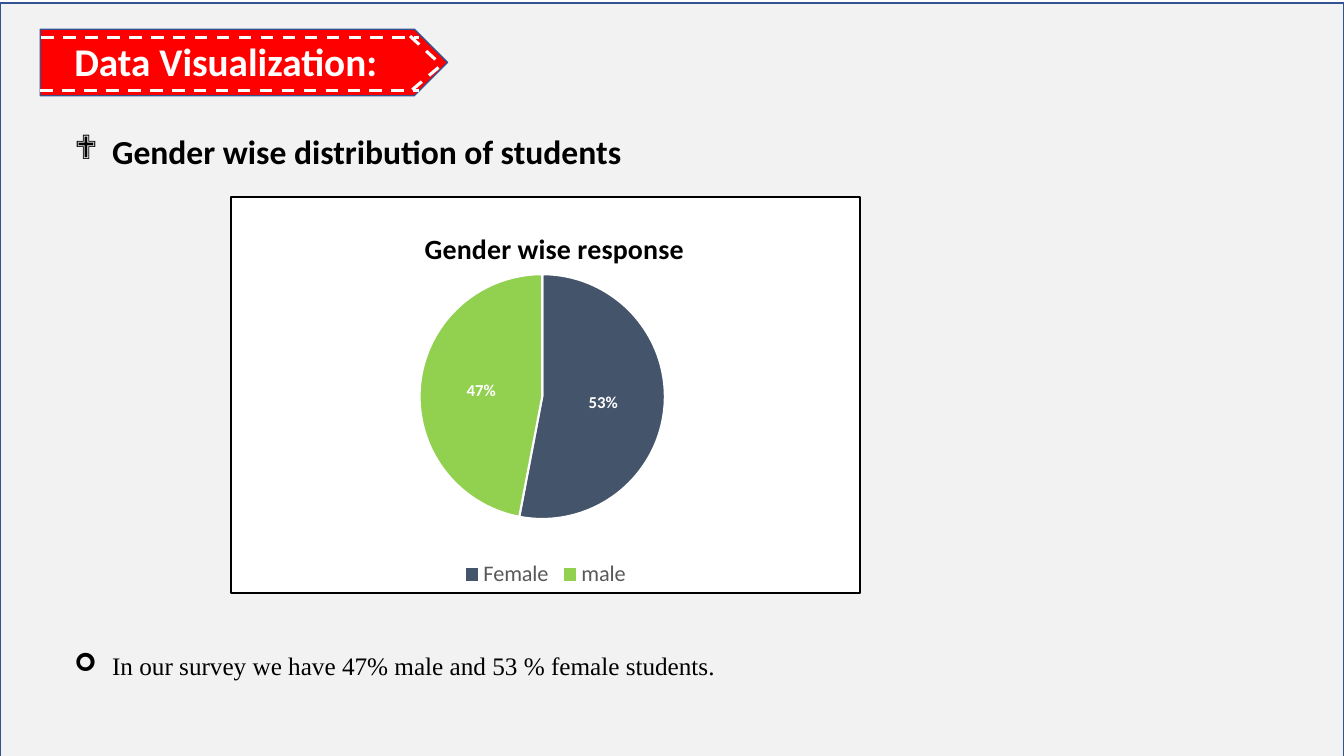
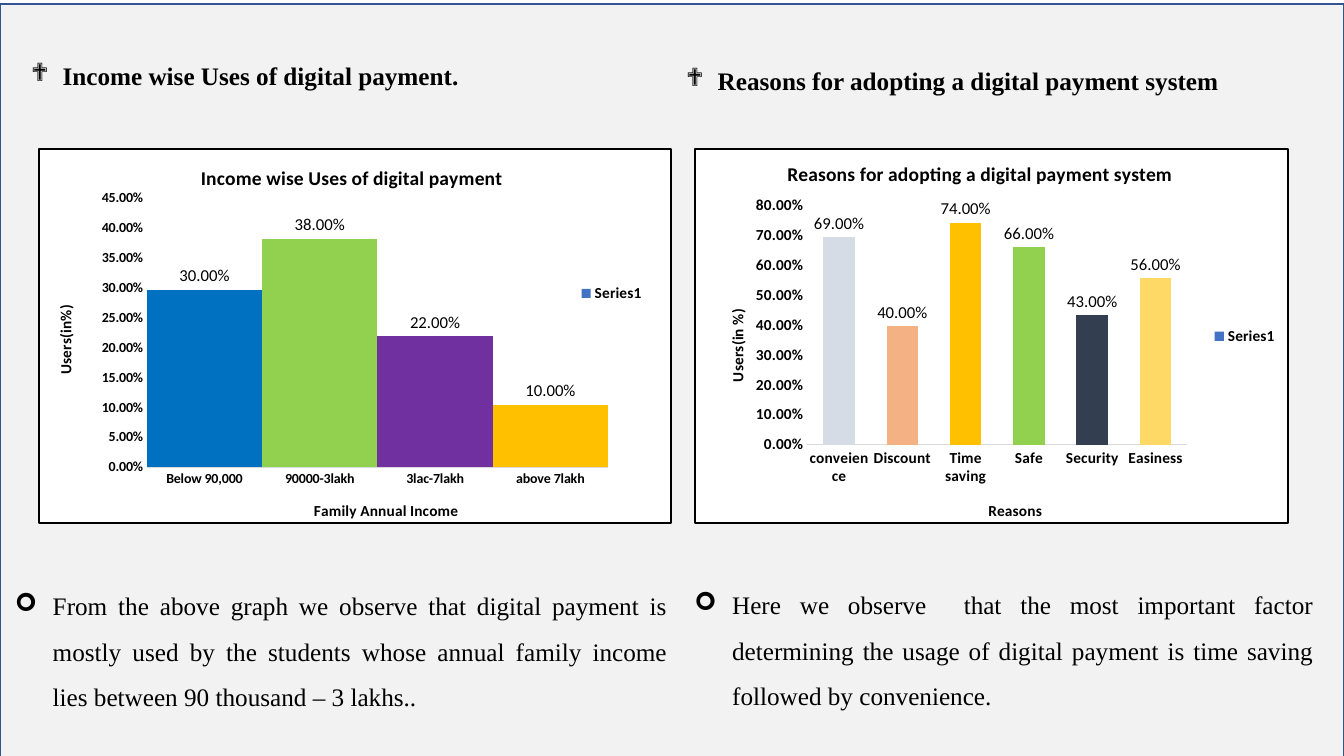
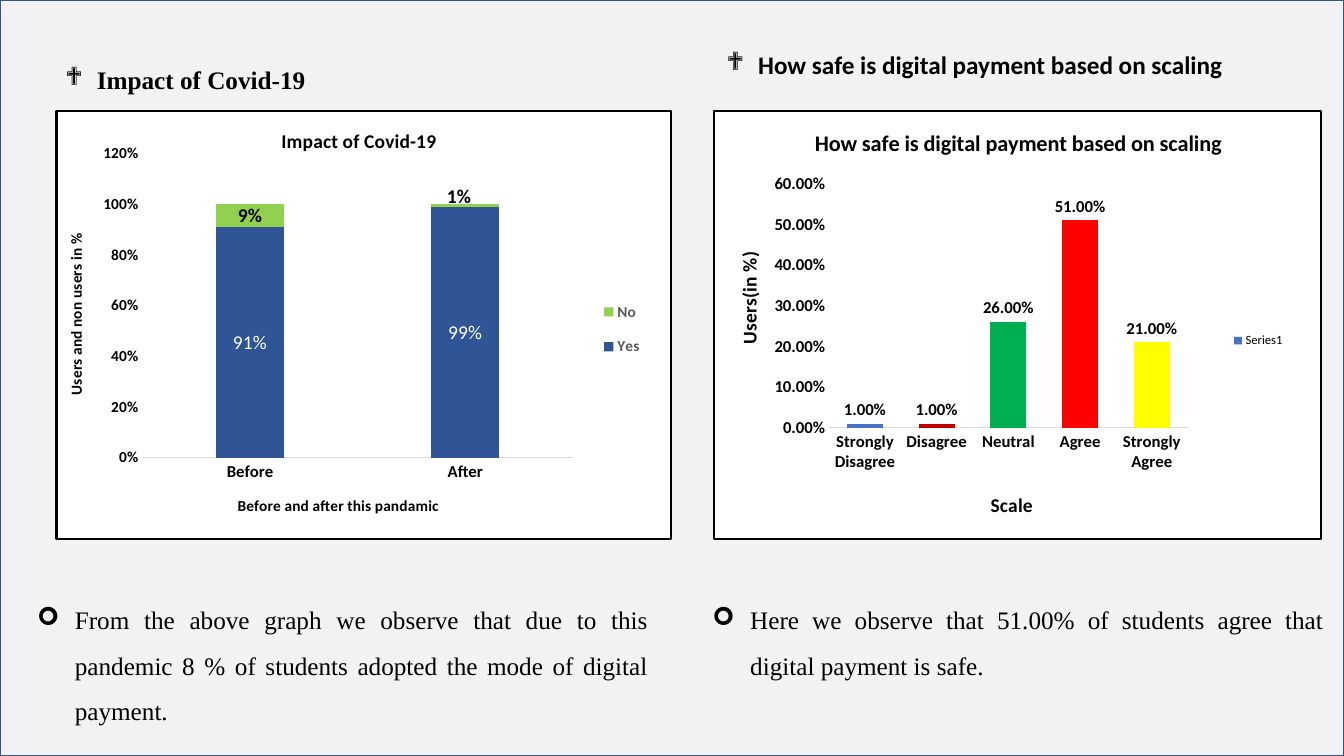
import pptx
import pptx.util
import pptx.dml.color
import pptx.chart.data
import pptx.enum.chart
import pptx.enum.dml
import pptx.enum.shapes
import pptx.enum.text
import pptx.oxml.ns
from lxml import etree

Pt = pptx.util.Pt
qn = pptx.oxml.ns.qn
ALIGN = pptx.enum.text.PP_ALIGN
KIND = pptx.enum.chart.XL_CHART_TYPE
LABEL = pptx.enum.chart.XL_LABEL_POSITION
LEGEND = pptx.enum.chart.XL_LEGEND_POSITION
SHAPE = pptx.enum.shapes.MSO_SHAPE

SANS, SERIF = "Calibri", "Times New Roman"
BLACK, WHITE, GRAY = "000000", "FFFFFF", "595959"
PAPER, EDGE, AXIS = "F2F2F2", "325491", "D9D9D9"
RED, GREEN, SLATE, BLUE = "FF0000", "92D050", "44546A", "4472C4"
WIDTH, HEIGHT = 960, 540


def rgb(value):
    return pptx.dml.color.RGBColor.from_string(value)


def paint(fill, color):
    fill.solid()
    fill.fore_color.rgb = rgb(color)


def style(font, size, color=BLACK, bold=False, name=SANS):
    font.size = Pt(size)
    font.color.rgb = rgb(color)
    font.bold = bold
    font.name = name


def write(p, text, bullet=None, indent=27, align=None, spacing=None, before=None, after=None, **font):
    if bullet:
        pPr = p._p.get_or_add_pPr()
        pPr.set("marL", str(Pt(indent)))
        pPr.set("indent", str(-Pt(indent)))
        etree.SubElement(pPr, qn("a:buFont")).set("typeface", "Wingdings")
        etree.SubElement(pPr, qn("a:buChar")).set("char", bullet)
    if align is not None:
        p.alignment = align
    if spacing:
        p.line_spacing = spacing
    if before:
        p.space_before = Pt(before)
    if after:
        p.space_after = Pt(after)
    r = p.add_run()
    r.text = text
    style(r.font, **font)


def add_box(s, x, y, w, h):
    sp = s.shapes.add_textbox(Pt(x), Pt(y), Pt(w), Pt(h))
    tf = sp.text_frame
    tf.word_wrap = True
    tf.auto_size = pptx.enum.text.MSO_AUTO_SIZE.SHAPE_TO_FIT_TEXT
    return tf


def add_heading(s, x, y, text, w=480.2, h=36.7, align=ALIGN.JUSTIFY, spacing=1.5, name=SERIF):
    write(add_box(s, x, y, w, h).paragraphs[0], text, bullet="❖", indent=22.5, align=align,
          spacing=spacing, after=10 if spacing else None, size=18, bold=True, name=name)


def add_note(s, x, y, w, h, text):
    write(add_box(s, x, y, w, h).paragraphs[0], text, bullet="➢", align=ALIGN.JUSTIFY,
          spacing=1.5, after=10, size=18, name=SERIF)


def add_panel(s, shape, x, y, w, h, fill):
    sp = s.shapes.add_shape(shape, Pt(x), Pt(y), Pt(w), Pt(h))
    sp.shadow.inherit = False
    paint(sp.fill, fill)
    sp.line.color.rgb = rgb(EDGE)
    sp.line.width = Pt(1)


def add_stitch(s, x1, y1, x2, y2):
    cx = s.shapes.add_connector(pptx.enum.shapes.MSO_CONNECTOR.STRAIGHT, Pt(x1), Pt(y1), Pt(x2), Pt(y2))
    cx.line.color.rgb = rgb(WHITE)
    cx.line.width = Pt(2.25)
    cx.line.dash_style = pptx.enum.dml.MSO_LINE.DASH
    etree.SubElement(cx._element.spPr, qn("a:effectLst"))


def add_slide(prs, top=0):
    s = prs.slides.add_slide(prs.slide_layouts[6])
    add_panel(s, SHAPE.RECTANGLE, 0, top, WIDTH, HEIGHT, PAPER)
    return s


def place(element, index, box, edge=True, inner=False):
    for old in element.findall(qn("c:layout")):
        element.remove(old)
    layout = etree.Element(qn("c:layout"))
    element.insert(index, layout)
    manual = etree.SubElement(layout, qn("c:manualLayout"))
    settings = [("layoutTarget", "inner")] if inner else []
    if edge:
        settings += [("xMode", "edge"), ("yMode", "edge")]
    settings += zip("xywh", box)
    for tag, value in settings:
        etree.SubElement(manual, qn("c:" + tag)).set("val", str(value))


def set_title(title, text, size, at, turned=False):
    tf = title.text_frame
    write(tf.paragraphs[0], text, size=size, bold=True)
    place(title._element, 1, at)
    if turned:
        body = next(title._element.iter(qn("a:bodyPr")))
        body.set("rot", "-5400000")
        body.set("vert", "horz")


def frame_chart(chart):
    spPr = etree.Element(qn("c:spPr"))
    chart._chartSpace.find(qn("c:chart")).addnext(spPr)
    ln = etree.Element(qn("a:ln"), w=str(Pt(1.5)))
    for parent, color in ((spPr, WHITE), (ln, BLACK)):
        fill = etree.SubElement(parent, qn("a:solidFill"))
        etree.SubElement(fill, qn("a:srgbClr")).set("val", color)
    spPr.append(ln)


def add_chart(s, kind, box, cats, series, title, plot, legend, fmt="0.00%"):
    data = pptx.chart.data.CategoryChartData(number_format=fmt)
    data.categories = cats
    for name, values in series:
        data.add_series(name, values)
    chart = s.shapes.add_chart(kind, *map(Pt, box), data).chart
    style(chart.font, 10)
    frame_chart(chart)
    chart.has_title = True
    set_title(chart.chart_title, *title)
    place(chart._chartSpace.find(qn("c:chart")).find(qn("c:plotArea")), 0, plot, inner=True)
    chart.has_legend = True
    chart.legend.include_in_layout = False
    chart.legend.position = legend.get("position", LEGEND.RIGHT)
    style(chart.legend.font, legend["size"], legend.get("color", BLACK), legend.get("bold", True))
    if "at" in legend:
        place(chart.legend._element, 1, legend["at"])
    return chart


def set_labels(series, position, fmt, size, color=BLACK, bold=True):
    labels = series.data_labels
    labels.number_format = fmt
    labels.number_format_is_linked = False
    labels.position = position
    style(labels.font, size, color, bold)
    return labels


def set_texts(series, texts, position, size, color=BLACK):
    for i, text in enumerate(texts):
        label = series.points[i].data_label
        write(label.text_frame.paragraphs[0], text, size=size, color=color)
        label.position = position


def paint_points(series, colors):
    for i, color in enumerate(colors):
        paint(series.points[i].format.fill, color)


def set_axes(chart, cat, val, top, step, fmt="0.00%"):
    for axis, (text, title_size, at, size) in ((chart.category_axis, cat), (chart.value_axis, val)):
        axis.has_major_gridlines = False
        axis.major_tick_mark = pptx.enum.chart.XL_TICK_MARK.NONE
        axis.minor_tick_mark = pptx.enum.chart.XL_TICK_MARK.NONE
        style(axis.tick_labels.font, size, bold=True)
        axis.has_title = True
        set_title(axis.axis_title, text, title_size, at, axis is chart.value_axis or axis is not chart.category_axis and text == val[0])
    chart.category_axis.format.line.color.rgb = rgb(AXIS)
    chart.category_axis.format.line.width = Pt(0.75)
    axis = chart.value_axis
    axis.format.line.fill.background()
    axis.minimum_scale, axis.maximum_scale, axis.major_unit = 0, top, step
    axis.tick_labels.number_format = fmt
    axis.tick_labels.number_format_is_linked = False


def add_columns(s, box, cats, values, colors, title, plot, legend, cat, val, top, step, gap=100, texts=()):
    chart = add_chart(s, KIND.COLUMN_CLUSTERED, box, cats, [("Series1", values)], title, plot, legend)
    set_axes(chart, cat, val, top, step)
    bars = chart.plots[0]
    bars.vary_by_categories = False
    bars.gap_width, bars.overlap = gap, -27
    sr = bars.series[0]
    paint(sr.format.fill, BLUE)
    paint_points(sr, colors)
    set_labels(sr, LABEL.OUTSIDE_END, "0.00%", 12).show_value = True
    set_texts(sr, texts, LABEL.OUTSIDE_END, 12)


def add_gender_pie(s):
    chart = add_chart(s, KIND.PIE, (164.2, 139.7, 450.7, 284.4), ["Female", "male"], [("Series 1", [53, 47])],
                      ("Gender wise response", 20, (0.3, 0.07)), (0.3, 0.18, 0.39, 0.65),
                      dict(position=LEGEND.BOTTOM, size=16, color=GRAY, bold=False), fmt="General")
    pie = chart.plots[0]
    pie.vary_by_categories = True
    sr = pie.series[0]
    paint_points(sr, [SLATE, GREEN])
    for i in range(2):
        line = sr.points[i].format.line
        line.color.rgb = rgb(WHITE)
        line.width = Pt(1.5)
    labels = set_labels(sr, LABEL.CENTER, "0%", 12, WHITE)
    labels.show_percentage = True
    labels.show_value = False


def add_covid_stack(s):
    chart = add_chart(s, KIND.COLUMN_STACKED, (39.6, 78.5, 440.6, 307.4), ["Before", "After"],
                      [("Yes", [0.91, 0.99]), ("No", [0.09, 0.01])],
                      ("Impact of Covid-19", 14, (0.36, 0.03)), (0.14, 0.1, 0.7, 0.71),
                      dict(size=11, color=GRAY, at=(0.88, 0.41, 0.08, 0.2)), fmt="0%")
    set_axes(chart, ("Before and after this pandamic", 11, (0.29, 0.89), 12),
             ("Users and non users in %", 11, (0.01, 0.28), 11), 1.2, 0.2, "0%")
    bars = chart.plots[0]
    bars.gap_width, bars.overlap = 219, 100
    yes, no = bars.series
    for sr, color in ((yes, "2F5597"), (no, GREEN)):
        paint(sr.format.fill, color)
        set_labels(sr, LABEL.CENTER, "0%", 14).show_value = True
    set_texts(yes, ["91%", "99%"], LABEL.CENTER, 14, WHITE)
    label = no.points[1].data_label
    label.position = LABEL.CENTER
    style(label.font, 14, bold=True)
    place(next(no._element.iter(qn("c:dLbl"))), 1, (-0.01, -0.02), edge=False)


def gender_slide(prs):
    s = add_slide(prs, 2.2)
    add_panel(s, SHAPE.PENTAGON, 28.8, 20.9, 290.9, 47.5, RED)
    tf = add_box(s, 46, 23, 594, 136.8)
    write(tf.paragraphs[0], "Data Visualization:", size=28, color=WHITE, bold=True)
    write(tf.add_paragraph(), "Gender wise distribution of students", bullet="❖", before=33.5, size=24, bold=True)
    for ends in ((28.8, 64.8, 299.5, 64.8), (29.5, 26.6, 299.5, 26.6),
                 (311, 42.5, 292.3, 25.2), (294.5, 64.1, 313.2, 48.2)):
        add_stitch(s, *ends)
    add_gender_pie(s)
    add_note(s, 46, 450, 875.5, 36.7, "In our survey we have 47% male and 53 % female students.")


def usage_slide(prs):
    s = add_slide(prs, 2.9)
    add_heading(s, 15.1, 28.8, "Income wise Uses of digital payment.")
    add_columns(s, (27.4, 105.8, 452.9, 269.3),
                ["Below 90,000", "90000-3lakh", "3lac-7lakh", "above 7lakh"],
                [0.2963, 0.3815, 0.2185, 0.1037], ["0070C0", GREEN, "7030A0", "FFC000"],
                ("Income wise Uses of digital payment", 14, (0.25, 0.03)), (0.17, 0.13, 0.73, 0.72),
                dict(size=11, at=(0.85, 0.35)),
                ("Family Annual Income", 11, (0.43, 0.93), 10), ("Users(in%)", 11, (0.02, 0.41), 10),
                0.45, 0.05, gap=0, texts=["30.00%", "38.00%", "22.00%", "10.00%"])
    add_note(s, 3.6, 407.5, 480.2, 101.5,
             "From the above graph we observe that digital payment is mostly used by the students "
             "whose annual family income lies between 90 thousand – 3 lakhs..")
    add_heading(s, 483.1, 32.4, "Reasons for adopting a digital payment system")
    add_columns(s, (495.4, 105.8, 425.5, 269.3),
                ["conveience", "Discount", "Time saving", "Safe", "Security", "Easiness"],
                [0.693, 0.396, 0.741, 0.659, 0.433, 0.556],
                ["D6DCE5", "F4B183", "FFC000", GREEN, "333F50", "FFD966"],
                ("Reasons for adopting a digital payment system", 14, (0.15, 0.02)), (0.19, 0.15, 0.64, 0.64),
                dict(size=11),
                ("Reasons", 11, (0.49, 0.93), 11), ("Users(in %)", 11, (0.05, 0.42), 11),
                0.8, 0.1, texts=["69.00%", "40.00%", "74.00%", "66.00%", "43.00%", "56.00%"])
    add_note(s, 488.9, 406.8, 456.5, 102,
             "Here we observe  that the most important factor determining the usage of digital payment "
             "is time saving followed by convenience.")


def safety_slide(prs):
    s = add_slide(prs)
    add_covid_stack(s)
    add_columns(s, (509, 78.5, 435.6, 307.4),
                ["Strongly Disagree", "Disagree", "Neutral", "Agree", "Strongly Agree"],
                [0.01, 0.01, 0.26, 0.51, 0.21], [BLUE, "C00000", "00B050", RED, "FFFF00"],
                ("How safe is digital payment based on scaling", 16, (0.16, 0.03)), (0.19, 0.17, 0.59, 0.57),
                dict(size=9, bold=False, at=(0.85, 0.51)),
                ("Scale", 14, (0.45, 0.88), 12), ("Users(in %)", 14, (0.03, 0.32), 12), 0.6, 0.1)
    add_note(s, 19.4, 417.6, 450.7, 102,
             "From the above graph we observe that due to this pandemic 8 % of students adopted "
             "the mode of digital payment.")
    add_heading(s, 39.6, 31.7, "Impact of Covid-19")
    add_note(s, 501.8, 417.6, 450.7, 69,
             "Here we observe that 51.00% of students agree that digital payment is safe.")
    add_heading(s, 447.8, 31.7, "How safe is digital payment based on scaling", w=496.8, h=28.8,
                align=ALIGN.CENTER, spacing=None, name=SANS)


def main():
    prs = pptx.Presentation()
    prs.slide_width, prs.slide_height = Pt(WIDTH), Pt(HEIGHT)
    gender_slide(prs)
    usage_slide(prs)
    safety_slide(prs)
    prs.save("out.pptx")


if __name__ == "__main__":
    main()
